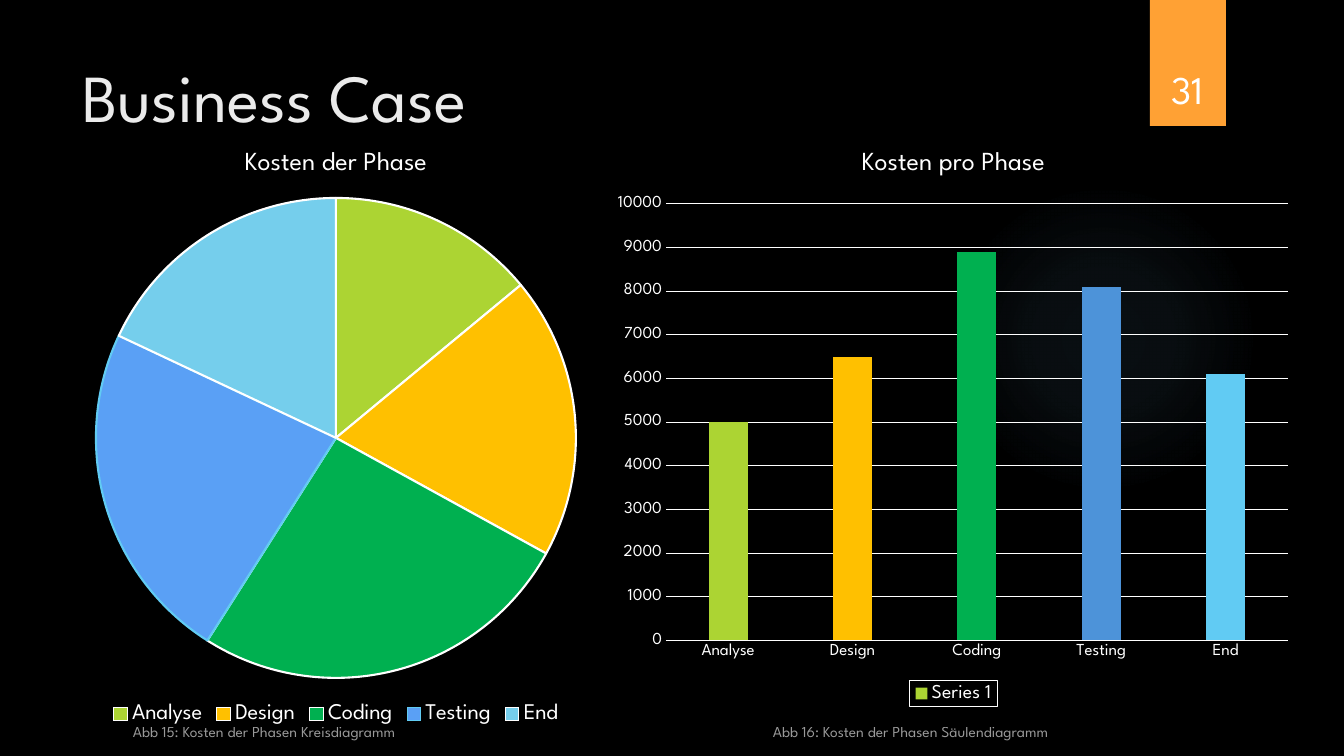
from lxml import etree
from pptx import Presentation
from pptx.chart.data import CategoryChartData
from pptx.dml.color import RGBColor
from pptx.enum.chart import XL_CHART_TYPE, XL_LEGEND_POSITION, XL_TICK_MARK
from pptx.enum.shapes import MSO_SHAPE
from pptx.enum.text import MSO_ANCHOR, PP_ALIGN
from pptx.oxml import parse_xml
from pptx.oxml.ns import nsdecls, qn
from pptx.util import Emu, Pt

PIE, COLUMN = XL_CHART_TYPE.PIE, XL_CHART_TYPE.COLUMN_CLUSTERED
LEGEND_BOTTOM = XL_LEGEND_POSITION.BOTTOM
NO_TICK = XL_TICK_MARK.NONE
RECTANGLE, OVAL = MSO_SHAPE.RECTANGLE, MSO_SHAPE.OVAL
TOP, BOTTOM = MSO_ANCHOR.TOP, MSO_ANCHOR.BOTTOM
LEFT, CENTER = PP_ALIGN.LEFT, PP_ALIGN.CENTER

BLACK = RGBColor(0x00, 0x00, 0x00)
WHITE = RGBColor(0xFF, 0xFF, 0xFF)
OFF_WHITE = RGBColor(0xEB, 0xEB, 0xEB)
ORANGE = RGBColor(0xFF, 0xA1, 0x34)
GLOW_BLUE = RGBColor(0x7A, 0xC4, 0xF0)
LIME = RGBColor(0xAC, 0xD4, 0x33)
AMBER = RGBColor(0xFF, 0xC0, 0x00)
GREEN = RGBColor(0x00, 0xB0, 0x50)
PIE_BLUE = RGBColor(0x5A, 0xA0, 0xF5)
PIE_SKY = RGBColor(0x75, 0xCE, 0xEC)
BAR_BLUE = RGBColor(0x4D, 0x93, 0xD9)
BAR_SKY = RGBColor(0x61, 0xCB, 0xF3)

FONT = "League Spartan"
PHASES = ["Analyse", "Design", "Coding", "Testing", "End"]
SCALE = 914400 / 100.8


def px(length):
    return Emu(round(length * SCALE))


def style_font(font, size, color=WHITE):
    font.name = FONT
    font.size = Pt(size)
    font.bold = False
    font.color.rgb = color


def write_text(frame, text, size, color=WHITE, align=LEFT, anchor=TOP, alpha=None):
    frame.word_wrap = True
    frame.vertical_anchor = anchor
    paragraph = frame.paragraphs[0]
    paragraph.alignment = align
    run = paragraph.add_run()
    run.text = text
    style_font(run.font, size, color)
    if alpha is not None:
        rgb = run.font.fill._xPr.find(".//" + qn("a:srgbClr"))
        etree.SubElement(rgb, qn("a:alpha")).set("val", str(alpha * 1000))


class SlideBuilder:
    def __init__(self, presentation):
        self.slide = presentation.slides.add_slide(presentation.slide_layouts[5])
        self.slide.background.fill.solid()
        self.slide.background.fill.fore_color.rgb = BLACK

    def title(self, text, box, **text_format):
        title = self.slide.shapes.title
        title.left, title.top, title.width, title.height = map(px, box)
        write_text(title.text_frame, text, **text_format)

    def text(self, text, box, **text_format):
        shape = self.slide.shapes.add_textbox(*map(px, box))
        write_text(shape.text_frame, text, **text_format)

    def shape(self, preset, box, color):
        shape = self.slide.shapes.add_shape(preset, *map(px, box))
        shape.shadow.inherit = False
        shape.fill.solid()
        shape.fill.fore_color.rgb = color
        shape.line.fill.background()
        return shape

    def glow(self, box, color, stops):
        """Add a circle that fades outwards; stops are (position, opacity) in percent."""
        shape = self.shape(OVAL, box, color)
        stop_xml = "".join(
            f'<a:gs pos="{position * 1000}"><a:srgbClr val="{color}">'
            f'<a:alpha val="{opacity * 1000}"/></a:srgbClr></a:gs>'
            for position, opacity in stops)
        gradient = parse_xml(
            f'<a:gradFill {nsdecls("a")}><a:gsLst>{stop_xml}</a:gsLst><a:path path="circle">'
            '<a:fillToRect l="50000" t="50000" r="50000" b="50000"/></a:path></a:gradFill>')
        properties = shape._element.spPr
        properties.replace(properties.find(qn("a:solidFill")), gradient)

    def chart(self, kind, box, plot_box, title, series_name, values, colors, legend_size):
        data = CategoryChartData()
        data.categories = PHASES
        data.add_series(series_name, values)
        chart = self.slide.shapes.add_chart(kind, *map(px, box), data).chart
        style_font(chart.font, 10)
        chart.has_title = True
        title_run = chart.chart_title.text_frame.paragraphs[0].add_run()
        title_run.text = title
        style_font(title_run.font, 18.6)
        chart.has_legend = True
        chart.legend.position = LEGEND_BOTTOM
        chart.legend.include_in_layout = False
        style_font(chart.legend.font, legend_size)
        plot = chart.plots[0]
        plot.vary_by_categories = kind == PIE
        series = plot.series[0]
        series.format.fill.solid()
        series.format.fill.fore_color.rgb = colors[0]
        for index, color in enumerate(colors):
            fill = series.points[index].format.fill
            fill.solid()
            fill.fore_color.rgb = color
        self.place_plot(chart, box, plot_box)
        return chart

    def place_plot(self, chart, box, plot_box):
        left, top, width, height = box
        plot_left, plot_top, plot_width, plot_height = plot_box
        fractions = {"x": (plot_left - left) / width, "y": (plot_top - top) / height,
                     "w": plot_width / width, "h": plot_height / height}
        modes = "".join(f'<c:{key}Mode val="edge"/>' for key in "xy")
        sizes = "".join(f'<c:{key} val="{value:.4f}"/>' for key, value in fractions.items())
        layout = parse_xml(
            f'<c:layout {nsdecls("c")}><c:manualLayout><c:layoutTarget val="inner"/>'
            f'{modes}{sizes}</c:manualLayout></c:layout>')
        plot_area = chart._chartSpace.chart.plotArea
        for old_layout in plot_area.findall(qn("c:layout")):
            plot_area.remove(old_layout)
        plot_area.insert(0, layout)

    def pie_chart(self, edges, **options):
        chart = self.chart(PIE, **options)
        for index, edge in enumerate(edges):
            line = chart.plots[0].series[0].points[index].format.line
            line.color.rgb = edge
            line.width = Pt(1.5)

    def column_chart(self, maximum, step, **options):
        chart = self.chart(COLUMN, **options)
        chart.plots[0].gap_width = 219
        chart.plots[0].overlap = -27
        values, categories = chart.value_axis, chart.category_axis
        for axis in (values, categories):
            axis.major_tick_mark = axis.minor_tick_mark = NO_TICK
            style_font(axis.tick_labels.font, 12)
        values.minimum_scale, values.maximum_scale, values.major_unit = 0, maximum, step
        values.format.line.fill.background()
        for line in (values.major_gridlines.format.line, categories.format.line):
            line.color.rgb = WHITE
            line.width = Pt(0.75)
        border = parse_xml(
            f'<c:spPr {nsdecls("c", "a")}><a:noFill/><a:ln w="9525"><a:solidFill>'
            f'<a:srgbClr val="{WHITE}"/></a:solidFill></a:ln></c:spPr>')
        chart.legend._element.find(qn("c:txPr")).addprevious(border)


def main():
    presentation = Presentation()
    presentation.slide_width, presentation.slide_height = px(1344), px(756)
    builder = SlideBuilder(presentation)
    builder.glow((949, 184, 310, 310), GLOW_BLUE, [(0, 7), (36, 6), (69, 0)])
    builder.shape(RECTANGLE, (1150, 0, 76, 126), ORANGE)
    builder.title("Business Case", (72, 50, 1037, 154), size=48, color=OFF_WHITE)
    builder.text("31", (1141, 32, 93, 85), size=28, align=CENTER, anchor=BOTTOM)
    builder.pie_chart(
        edges=[WHITE, WHITE, WHITE, BAR_SKY, WHITE],
        box=(-86, 126, 844, 603), plot_box=(96, 198, 480, 480),
        title="Kosten der Phase", series_name="Kosten der Phase",
        values=[14, 19, 26, 23, 18],
        colors=[LIME, AMBER, GREEN, PIE_BLUE, PIE_SKY], legend_size=16)
    builder.column_chart(
        maximum=10000, step=1000,
        box=(604, 127, 699, 580), plot_box=(666, 204, 622, 437),
        title="Kosten pro Phase", series_name="Series 1",
        values=[5000, 6500, 8900, 8100, 6100],
        colors=[LIME, AMBER, GREEN, BAR_BLUE, BAR_SKY], legend_size=14)
    captions = ["Abb 15: Kosten der Phasen Kreisdiagramm",
                "Abb 16: Kosten der Phasen Säulendiagramm"]
    for index, caption in enumerate(captions):
        builder.text(caption, (123 + 640 * index, 713, 425, 33),
                     size=11, anchor=BOTTOM, alpha=60)
    presentation.save("out.pptx")


if __name__ == "__main__":
    main()
